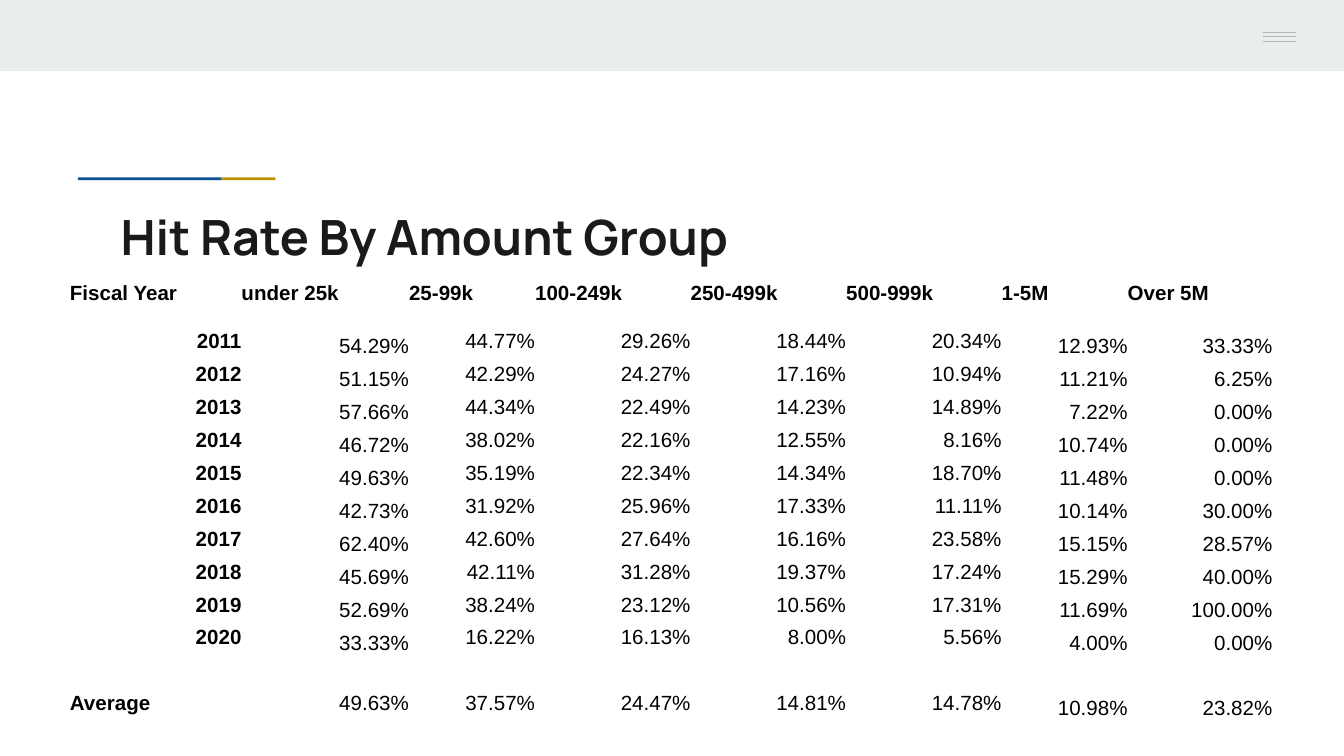
from dataclasses import dataclass

from lxml.etree import SubElement
from pptx import Presentation
from pptx.dml.color import RGBColor
from pptx.enum.shapes import MSO_CONNECTOR, MSO_SHAPE
from pptx.enum.text import MSO_ANCHOR, PP_ALIGN
from pptx.oxml.ns import qn
from pptx.util import Inches, Pt


@dataclass(frozen=True)
class Theme:
    band: str = "E9EDEE"
    menu: str = "B7B7B7"
    blue: str = "0B5394"
    gold: str = "BF9000"
    title: str = "1A1A1A"
    text: str = "000000"
    title_font: str = "Manrope"
    body_font: str = "Arial"
    title_size: int = 26
    body_size: int = 11


HEADER = ["Fiscal Year", "under 25k", "25-99k", "100-249k", "250-499k",
          "500-999k", "1-5M", "Over 5M"]
RATES = [
    ["2011", 54.29, 44.77, 29.26, 18.44, 20.34, 12.93, 33.33],
    ["2012", 51.15, 42.29, 24.27, 17.16, 10.94, 11.21, 6.25],
    ["2013", 57.66, 44.34, 22.49, 14.23, 14.89, 7.22, 0],
    ["2014", 46.72, 38.02, 22.16, 12.55, 8.16, 10.74, 0],
    ["2015", 49.63, 35.19, 22.34, 14.34, 18.70, 11.48, 0],
    ["2016", 42.73, 31.92, 25.96, 17.33, 11.11, 10.14, 30],
    ["2017", 62.40, 42.60, 27.64, 16.16, 23.58, 15.15, 28.57],
    ["2018", 45.69, 42.11, 31.28, 19.37, 17.24, 15.29, 40],
    ["2019", 52.69, 38.24, 23.12, 10.56, 17.31, 11.69, 100],
    ["2020", 33.33, 16.22, 16.13, 8.00, 5.56, 4.00, 0],
]
AVERAGE = ["Average", 49.63, 37.57, 24.47, 14.81, 14.78, 10.98, 23.82]
TABLE_WIDTH, TABLE_HEIGHT, HEADER_HEIGHT = 8.95, 3.41, 0.47
COL_SHARES = [1.28, 1.25, 0.94, 1.16, 1.16, 1.16, 0.94, 1.08]
LOW_COLUMNS = (1, 6, 7)
NO_STYLE_NO_GRID = "{2D5ABB26-0587-4C30-8999-92F81FD0307C}"


def write(tf, text, *, font, size, color, bold=False, align=PP_ALIGN.LEFT):
    p = tf.paragraphs[0]
    p.alignment = align
    if not text:
        # An empty cell still needs a type size, or its row grows
        SubElement(p._p, qn("a:endParaRPr"), sz=str(size * 100))
        return
    r = p.add_run()
    r.text = text
    r.font.name = font
    r.font.size = Pt(size)
    r.font.bold = bold
    r.font.color.rgb = RGBColor.from_string(color)


class Deck:
    def __init__(self, prs, theme):
        self.theme = theme
        self.s = prs.slides.add_slide(prs.slide_layouts[6])

    def bar(self, x, y, w, h, color):
        sp = self.s.shapes.add_shape(MSO_SHAPE.RECTANGLE, Inches(x), Inches(y),
                                     Inches(w), Inches(h))
        sp.shadow.inherit = False
        sp.fill.solid()
        sp.fill.fore_color.rgb = RGBColor.from_string(color)
        sp.line.fill.background()

    def rule(self, x1, x2, y, color):
        line = self.s.shapes.add_connector(MSO_CONNECTOR.STRAIGHT, Inches(x1),
                                           Inches(y), Inches(x2), Inches(y))
        line.line.color.rgb = RGBColor.from_string(color)
        line.line.width = Pt(0.75)
        SubElement(line._element.spPr, qn("a:effectLst"))

    def title(self, x, y, w, h, text):
        t = self.theme
        tf = self.s.shapes.add_textbox(Inches(x), Inches(y), Inches(w),
                                       Inches(h)).text_frame
        tf.word_wrap = True
        tf.margin_left = tf.margin_right = Inches(0.1)
        tf.margin_top = tf.margin_bottom = Inches(0.1)
        write(tf, text, font=t.title_font, size=t.title_size, color=t.title,
              bold=True)

    def cell(self, cell, text, anchor, **fmt):
        t = self.theme
        cell.fill.background()
        cell.margin_left = cell.margin_right = 0
        cell.margin_top = cell.margin_bottom = 0
        cell.vertical_anchor = anchor
        write(cell.text_frame, text, font=t.body_font, size=t.body_size,
              color=t.text, **fmt)

    def table(self, x, y, rows):
        last = len(rows) - 1
        row_height = (TABLE_HEIGHT - HEADER_HEIGHT) / last
        tbl = self.s.shapes.add_table(
            len(rows), len(COL_SHARES), Inches(x), Inches(y),
            Inches(TABLE_WIDTH), Inches(TABLE_HEIGHT)).table
        tbl.first_row = tbl.horz_banding = False
        tbl._tbl.tblPr.find(qn("a:tableStyleId")).text = NO_STYLE_NO_GRID
        for column, share in zip(tbl.columns, COL_SHARES):
            column.width = Inches(TABLE_WIDTH * share / sum(COL_SHARES))
        for i, row in enumerate(rows):
            tbl.rows[i].height = Inches(row_height if i else HEADER_HEIGHT)
            for j, value in enumerate(row):
                text = value if isinstance(value, str) else f"{value:.2f}%"
                # Some columns sit low, apart from the header and first average
                low = j in LOW_COLUMNS and i > 0 and (i, j) != (last, 1)
                left = i == 0 or (i == last and j == 0)
                self.cell(tbl.cell(i, j), text,
                          MSO_ANCHOR.BOTTOM if low else MSO_ANCHOR.MIDDLE,
                          bold=i == 0 or j == 0,
                          align=PP_ALIGN.LEFT if left else PP_ALIGN.RIGHT)


def main():
    # Widescreen, 16 to 9
    prs = Presentation()
    prs.slide_width = Inches(10)
    prs.slide_height = prs.slide_width * 9 // 16
    theme = Theme()
    deck = Deck(prs, theme)

    # Top band with menu icon
    deck.bar(0, 0, 10, 0.53, theme.band)
    deck.bar(9.06, 0, 0.94, 0.5, theme.band)
    for y in (0.24, 0.27, 0.31):
        deck.rule(9.4, 9.64, y, theme.menu)

    # Two-colour accent above the title
    deck.bar(0.58, 1.32, 1.07, 0.02, theme.blue)
    deck.bar(1.65, 1.32, 0.4, 0.02, theme.gold)
    deck.title(0.8, 1.44, 8.41, 0.59, "Hit Rate By Amount Group")

    # Hit rates by year, then an empty row and the average
    gap = [""] * len(HEADER)
    deck.table(0.52, 1.95, [HEADER, *RATES, gap, AVERAGE])

    prs.save("out.pptx")


if __name__ == "__main__":
    main()
